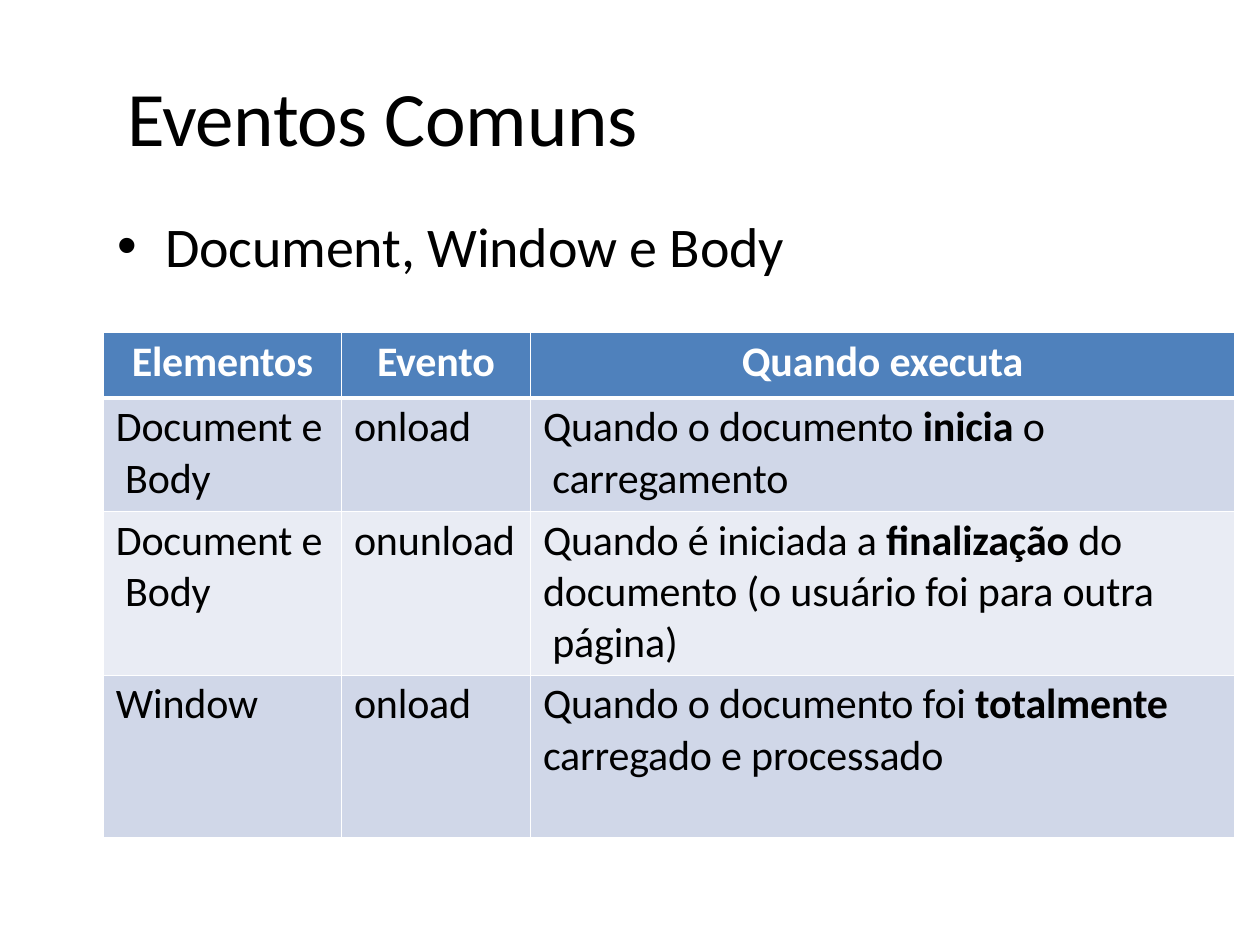
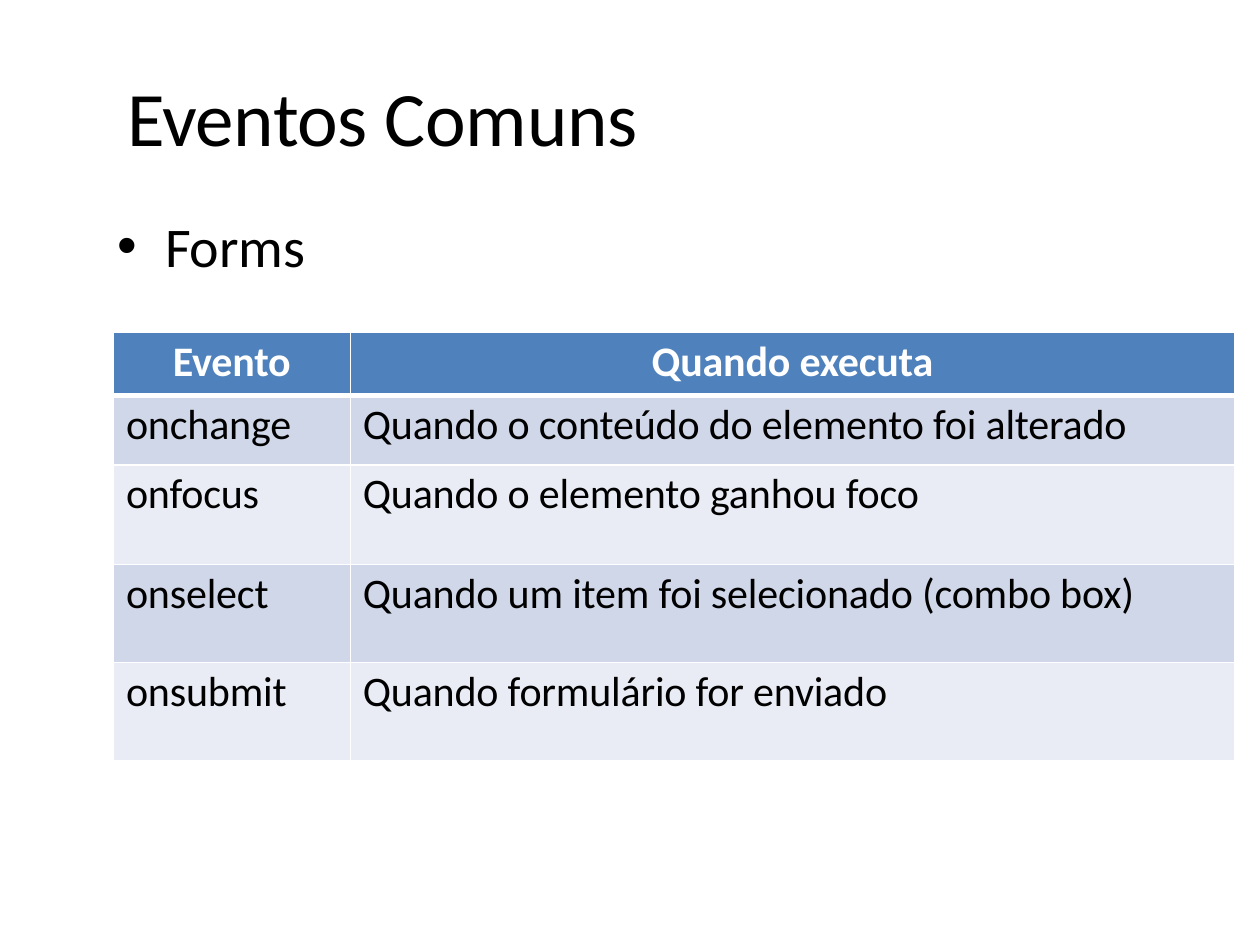
import pptx
import pptx.dml.color
import pptx.enum.text
import pptx.oxml
import pptx.oxml.ns
import pptx.util
from pptx.util import Inches

COLORS = {
    "text": "000000",
    "header": "4F81BC",
    "header_text": "FFFFFF",
    "border": "FFFFFF",
    "band_dark": "D0D7E8",
    "band_light": "E9ECF4",
}
FONT = "Calibri"
TITLE = [("Eventos ", -0.3), ("Comuns", -0.1)]
TABLE_TOP = 2.64

DOCUMENT_ROWS = [
    ["Elementos", "Evento", "Quando executa"],
    ["Document e\v Body", "onload", "Quando o documento *inicia* o\v carregamento"],
    ["Document e\v Body", "onunload",
     "Quando é iniciada a *finalização* do documento (o usuário foi para outra\v página)"],
    ["Window", "onload", "Quando o documento foi *totalmente*\ncarregado e processado"],
]
FORM_ROWS = [
    ["Evento", "Quando executa"],
    ["onchange", "Quando o conteúdo do elemento foi alterado"],
    ["onfocus", "Quando o elemento ganhou foco"],
    ["onselect", "Quando um item foi selecionado (combo box)"],
    ["onsubmit", "Quando formulário for enviado"],
]


def rgb(name):
    return pptx.dml.color.RGBColor.from_string(COLORS[name])


def add_span(para, text, size, color="text", bold=False, spacing=-0.1):
    span = para.add_run()
    span.text = text
    span.font.name = FONT
    span.font.size = pptx.util.Pt(size)
    span.font.bold = bold
    span.font.color.rgb = rgb(color)
    span.font._element.set("spc", str(round(spacing * 100)))


def add_marked_text(para, text, size, color, bold):
    for line_number, line in enumerate(text.split("\v")):
        if line_number:
            para.add_line_break()
        for part_number, part in enumerate(line.split("*")):
            if part:
                add_span(para, part, size, color, bold or part_number % 2 == 1)


def add_text_box(page, left, top, width, height):
    box = page.shapes.add_textbox(Inches(left), Inches(top), Inches(width), Inches(height))
    frame = box.text_frame
    frame.word_wrap = True
    frame.auto_size = pptx.enum.text.MSO_AUTO_SIZE.SHAPE_TO_FIT_TEXT
    frame.margin_left = frame.margin_right = frame.margin_bottom = 0
    frame.margin_top = Inches(0.01)
    para = frame.paragraphs[0]
    para.space_before = pptx.util.Pt(1.1)
    return para


def add_title(page):
    para = add_text_box(page, 1, 0.54, 4.12, 0.76)
    para._p.get_or_add_pPr().set("marL", str(Inches(0.01)))
    for text, spacing in TITLE:
        add_span(para, text, 44, spacing=spacing)


def add_bullet(page, text, width):
    para = add_text_box(page, 0.92, 1.67, width, 0.56)
    properties = para._p.get_or_add_pPr()
    properties.set("marL", str(Inches(0.39)))
    properties.set("indent", str(Inches(-0.38)))
    for tag, key, value in [("buFont", "typeface", "Arial"), ("buChar", "char", "•")]:
        bullet = pptx.oxml.parse_xml(f'<a:{tag} {pptx.oxml.ns.nsdecls("a")} {key}="{value}"/>')
        properties.append(bullet)
    add_span(para, text, 32)


def set_borders(cell, row_number):
    widths = {"L": 1, "R": 1, "T": 3 if row_number == 1 else 1, "B": 3 if row_number == 0 else 1}
    for side, width in widths.items():
        line = pptx.oxml.parse_xml(
            f'<a:ln{side} {pptx.oxml.ns.nsdecls("a")} w="{pptx.util.Pt(width)}">'
            f'<a:solidFill><a:srgbClr val="{COLORS["border"]}"/></a:solidFill></a:ln{side}>'
        )
        cell._tc.get_or_add_tcPr().append(line)


def fill_cell(cell, text, row_number):
    is_header = row_number == 0
    cell.margin_left = 0 if is_header else Inches(0.1)
    cell.margin_right = cell.margin_bottom = 0
    cell.margin_top = Inches(0.03)
    set_borders(cell, row_number)
    cell.fill.solid()
    band = "band_dark" if row_number % 2 else "band_light"
    cell.fill.fore_color.rgb = rgb("header" if is_header else band)
    for number, content in enumerate(text.split("\n")):
        para = cell.text_frame.add_paragraph() if number else cell.text_frame.paragraphs[0]
        para.space_before = pptx.util.Pt(0 if number else 2.1)
        if is_header:
            para.alignment = pptx.enum.text.PP_ALIGN.CENTER
        add_marked_text(para, content, 24, "header_text" if is_header else "text", is_header)


def add_event_table(page, left, widths, heights, rows):
    table = page.shapes.add_table(
        len(rows), len(widths), Inches(left), Inches(TABLE_TOP),
        Inches(sum(widths)), Inches(sum(heights)),
    ).table
    for column, width in zip(table.columns, widths):
        column.width = Inches(width)
    for row_number, (height, texts) in enumerate(zip(heights, rows)):
        table.rows[row_number].height = Inches(height)
        for column_number, text in enumerate(texts):
            fill_cell(table.cell(row_number, column_number), text, row_number)


def add_event_page(deck, topic, topic_width, left, widths, heights, rows):
    page = deck.slides.add_slide(deck.slide_layouts[6])
    add_title(page)
    add_bullet(page, topic, topic_width)
    add_event_table(page, left, widths, heights, rows)


def main():
    deck = pptx.Presentation()
    deck.slide_width = Inches(10)
    deck.slide_height = Inches(7.5)
    add_event_page(deck, "Document, Window e Body", 5.35, 0.82,
                   [1.89, 1.5, 5.59], [0.52, 0.9, 1.3, 1.29], DOCUMENT_ROWS)
    add_event_page(deck, "Forms", 1.52, 0.9,
                   [1.88, 7.02], [0.5, 0.55, 0.79, 0.78, 0.78], FORM_ROWS)
    deck.save("out.pptx")


if __name__ == "__main__":
    main()
